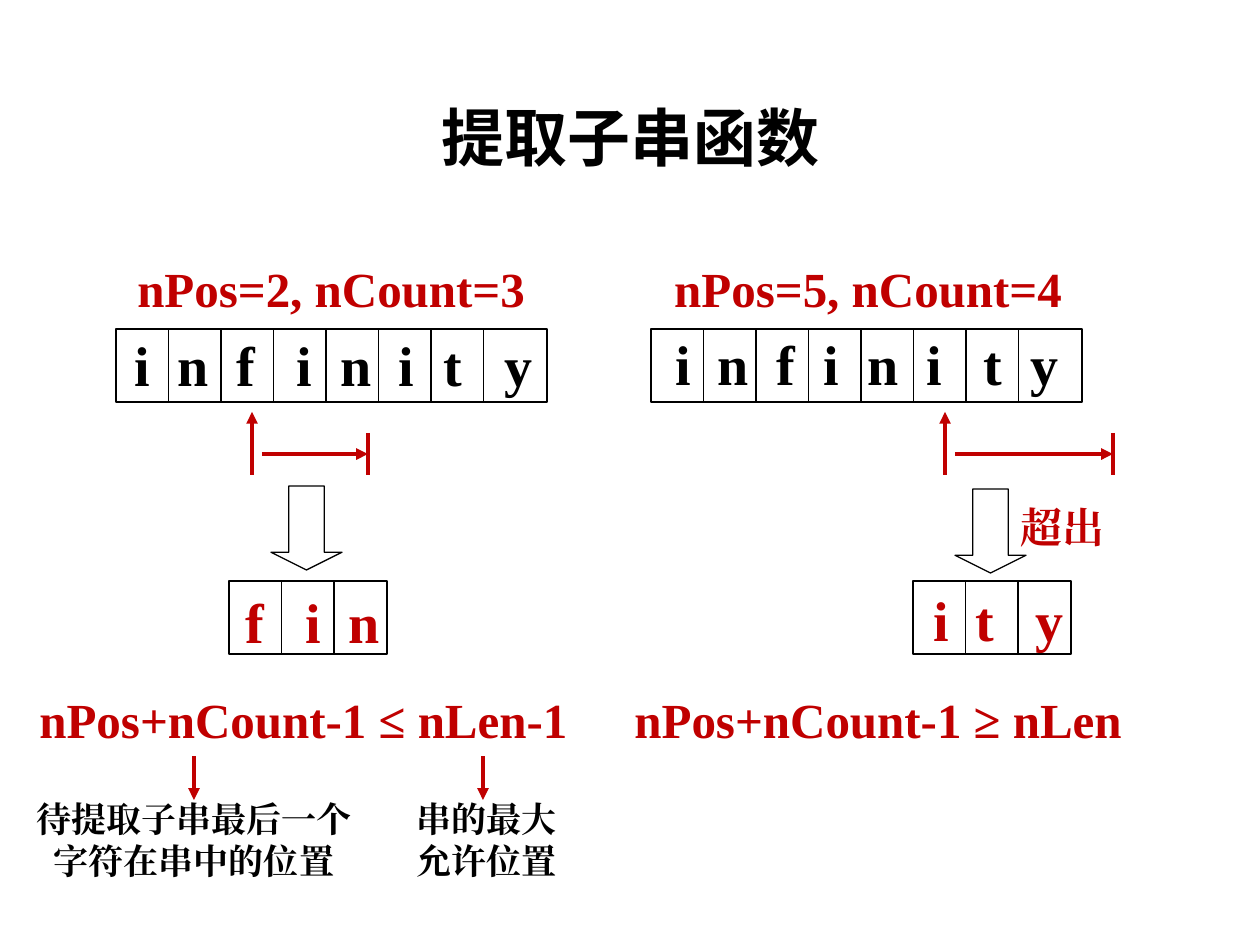
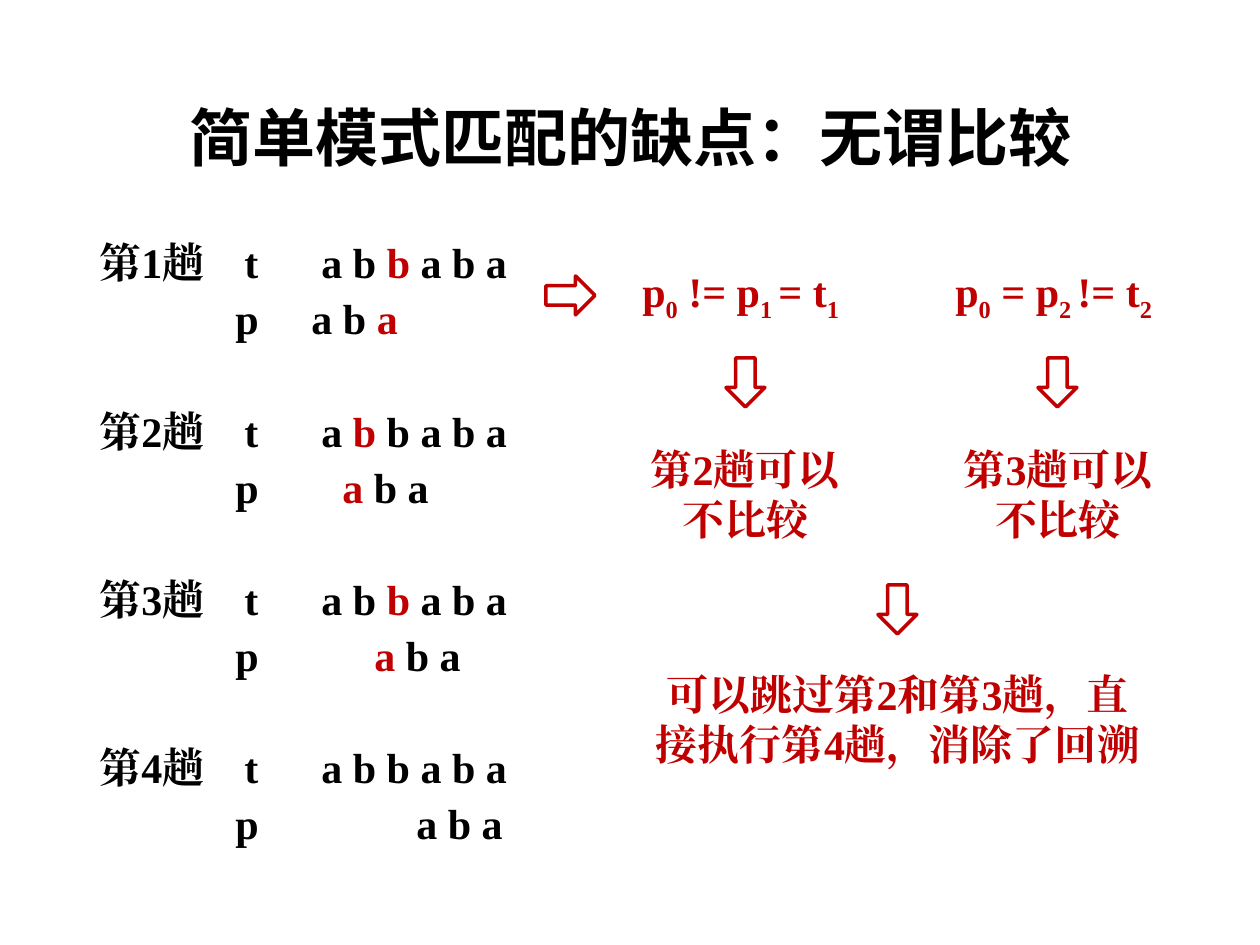
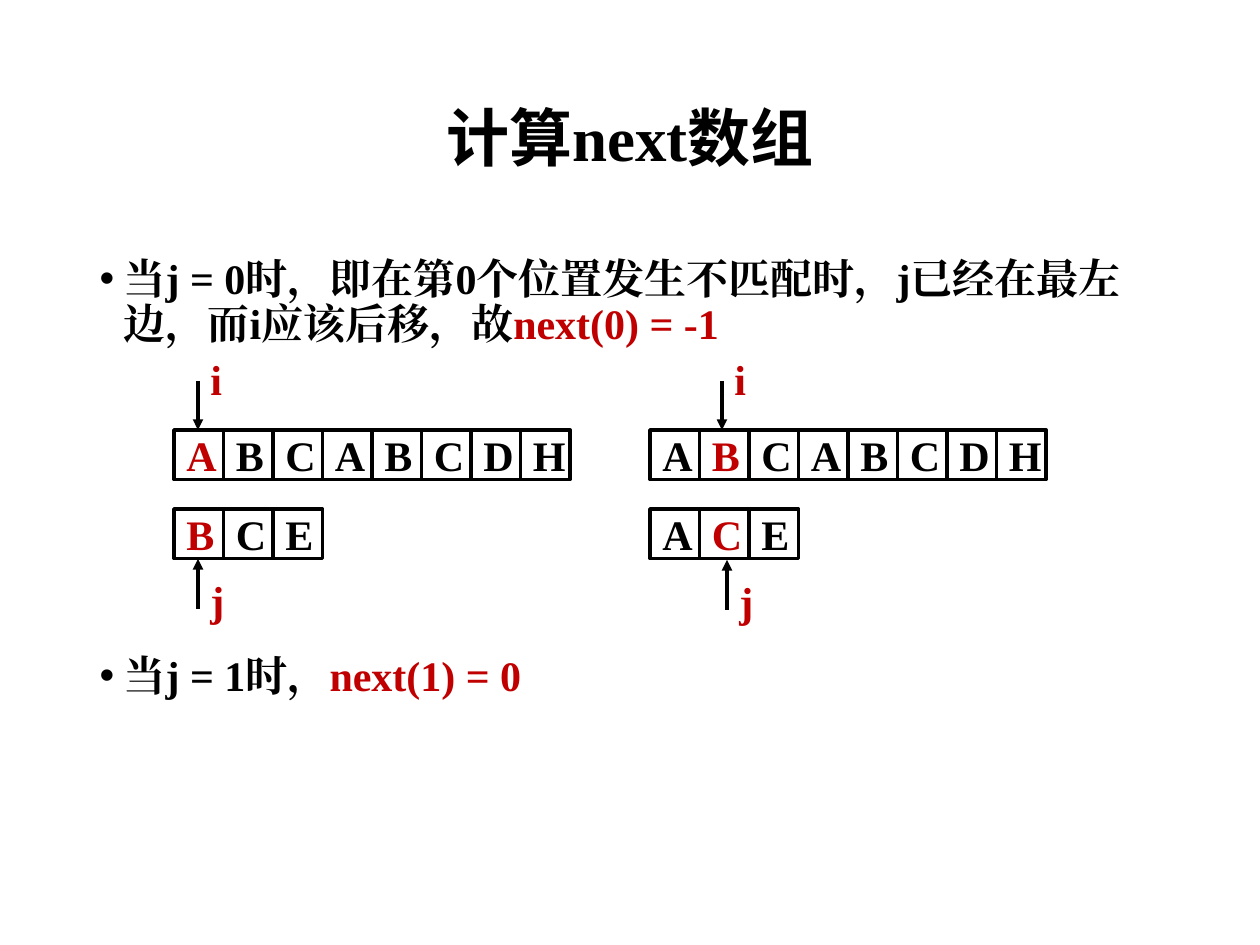
from lxml import etree
from pptx import Presentation
from pptx import util as u
from pptx.dml.color import RGBColor
from pptx.enum import shapes, text
from pptx.oxml.ns import qn

# Shared look
BLACK, RED, WHITE = "000000", "C00000", "FFFFFF"
LATIN, CHINESE = "Times New Roman", "Noto Sans CJK SC"
TITLE_BOX = (87, 50, 1086, 183)
INSET = 12.6
LEFT, CENTER = text.PP_ALIGN.LEFT, text.PP_ALIGN.CENTER
TOP, MIDDLE = text.MSO_ANCHOR.TOP, text.MSO_ANCHOR.MIDDLE
RECTANGLE = shapes.MSO_SHAPE.RECTANGLE
DOWN, RIGHT = shapes.MSO_SHAPE.DOWN_ARROW, shapes.MSO_SHAPE.RIGHT_ARROW

# Slide 1: letters, then the centre of each letter after the first
SUBSTRING_TITLE = "提取子串函数"
STRING_CELL, STRING_HEIGHT = 52.5, 73
STRINGS = [
    ("infinity", (116, 329, 431), (122, 324), BLACK, (193, 246, 305, 356, 407, 453, 519)),
    ("infinity", (651, 329, 431), (663, 323), BLACK, (733, 786, 831, 883, 935, 993, 1045)),
    ("fin", (229, 581, 158), (233, 581), RED, (314, 364)),
    ("ity", (913, 581, 158), (921, 579), RED, (985, 1050)),
]
SUBSTRING_LABELS = [
    ("nPos=2, nCount=3", (117, 252, 428, 72), 28, RED, CENTER),
    ("nPos=5, nCount=4", (654, 252, 428, 72), 28, RED, CENTER),
    ("nPos+nCount-1 ≤ nLen-1", (27, 683, 576, 72), 28, RED, LEFT),
    ("nPos+nCount-1 ≥ nLen", (600, 683, 556, 72), 28, RED, CENTER),
    ("待提取子串最后一个字符在串中的位置", (23, 791, 342, 97), 20, BLACK, CENTER),
    ("串的最大允许位置", (390, 791, 193, 97), 20, BLACK, CENTER),
]
EXCEEDS = ("超出", (1008, 495, 146, 63), 24, RED, LEFT)
POINTERS = [
    (252, 475, 252, 412), (262, 454, 368, 454),
    (945, 475, 945, 412), (955, 454, 1113, 454),
    (194, 756, 194, 800), (483, 756, 483, 800),
]
END_BARS = [368, 1113]
RESULT_ARROWS = [(271, 486, 71, 84), (955, 489, 71, 84)]

# Slide 2: *red*, _subscript_
MATCHING_TITLE = "简单模式匹配的缺点：无谓比较"
PASSES_BOX = (87, 233, 474, 694)
PASSES = [
    ("第1趟", "a b *b* a b a", "a b *a*", 212),
    ("第2趟", "a *b* b a b a", "*a* b a", 243),
    ("第3趟", "a b *b* a b a", "*a* b a", 275),
    ("第4趟", "a b b a b a", "a b a", 317),
]
FORMULAS = [
    ("p_0_ != p_1 _= t_1_", (630, 263, 250, 63)),
    ("p_0_ = p_2 _!= t_2_", (943, 263, 250, 63)),
]
CONCLUSIONS = [
    ("第2趟可以不比较", (627, 437, 236, 115), 24, RED, CENTER),
    ("第3趟可以不比较", (934, 437, 248, 115), 24, RED, CENTER),
    ("可以跳过第2和第3趟，直接执行第4趟，消除了回溯", (635, 662, 525, 165), 24, RED, CENTER),
]
THEREFORE_ARROWS = [
    (RIGHT, (546, 276, 49, 39)), (DOWN, (726, 358, 39, 49)),
    (DOWN, (1038, 358, 39, 49)), (DOWN, (878, 585, 39, 49)),
]

# Slide 3
NEXT_TITLE = "计算next数组"
NEXT_BOX = (87, 252, 1086, 600)
NEXT_RULES = [
    ("当j = 0时，即在第0个位置发生不匹配时，j已经在最左边，而i应该后移，故*next(0) = -1*", 3),
    ("当j = 1时，*next(1) = 0*", 306),
]
NEXT_CELL = 49.5
NEXT_ROWS = [  # letters, index of the red one, left, top
    ("ABCABCDH", 0, 174, 430), ("BCE", 0, 174, 509),
    ("ABCABCDH", 1, 650, 430), ("ACE", 1, 650, 509),
]
INDEXES = [  # name, x, arrow start, arrow end, label top
    ("i", 198, 381, 430, 347), ("j", 198, 609, 559, 568),
    ("i", 722, 381, 430, 347), ("j", 727, 610, 560, 569),
]


def px(length):
    return u.Emu(round(length * 914400 / 126))


def box(values):
    return [px(value) for value in values]


def color(value):
    return RGBColor.from_string(value)


def add_run(paragraph, words, size, ink, subscript=False):
    run = paragraph.add_run()
    run.text = words
    font = run.font
    font.name, font.size, font.bold = LATIN, u.Pt(size), True
    font.color.rgb = color(ink)
    properties = run._r.get_or_add_rPr()
    if subscript:
        properties.set("baseline", "-25000")
    return properties


def add_marked(paragraph, words, size=24):
    """Write black text in which *words* between stars are red."""
    for index, part in enumerate(words.split("*")):
        if part:
            add_run(paragraph, part, size, RED if index % 2 else BLACK)


def use_chinese_font(paragraph, name):
    for run in paragraph.runs:
        etree.SubElement(run._r.get_or_add_rPr(), qn("a:ea"), typeface=name)


def set_tabs(paragraph, stops, align="l"):
    tabs = etree.SubElement(paragraph._p.get_or_add_pPr(), qn("a:tabLst"))
    for stop in stops:
        etree.SubElement(tabs, qn("a:tab"), pos=str(px(stop)), algn=align)


def add_text_box(slide, place, anchor=TOP):
    shape = slide.shapes.add_textbox(*box(place))
    frame = shape.text_frame
    frame.word_wrap, frame.vertical_anchor = True, anchor
    return shape


def add_label(slide, words, place, size, ink, align):
    shape = add_text_box(slide, place)
    paragraph = shape.text_frame.paragraphs[0]
    paragraph.alignment, paragraph.space_before = align, u.Pt(size * 0.1)
    add_run(paragraph, words, size, ink)
    use_chinese_font(paragraph, LATIN)
    return shape


def add_outline(slide, kind, place, ink, width):
    shape = slide.shapes.add_shape(kind, *box(place))
    shape.shadow.inherit = False
    shape.fill.background()
    shape.line.color.rgb, shape.line.width = color(ink), u.Pt(width)
    return shape


def add_line(slide, ends, ink, width, arrow=False):
    line = slide.shapes.add_connector(shapes.MSO_CONNECTOR.STRAIGHT, *box(ends))
    line.line.color.rgb, line.line.width = color(ink), u.Pt(width)
    properties = line._element.spPr
    if arrow:
        etree.SubElement(properties.find(qn("a:ln")), qn("a:tailEnd"), type="triangle")
    etree.SubElement(properties, qn("a:effectLst"))


def place_shape(shape, place):
    shape.left, shape.top, shape.width, shape.height = box(place)


def add_slide(presentation, layout, title):
    slide = presentation.slides.add_slide(presentation.slide_layouts[layout])
    shape = slide.shapes.title
    place_shape(shape, TITLE_BOX)
    shape.text_frame.vertical_anchor = MIDDLE
    paragraph = shape.text_frame.paragraphs[0]
    paragraph.alignment, paragraph.line_spacing = CENTER, 0.9
    add_run(paragraph, title, 36, BLACK)
    use_chinese_font(paragraph, CHINESE)
    return slide


def add_string(slide, letters, frame, origin, ink, centers):
    left, top, width = frame
    add_outline(slide, RECTANGLE, (left, top, width, STRING_HEIGHT), BLACK, 0.75)
    for index in range(1, len(letters)):
        x = left + index * STRING_CELL
        add_line(slide, (x, top, x, top + STRING_HEIGHT), BLACK, 0.75)
    shape = add_label(slide, "\t".join(letters), (*origin, width + 30, 80), 32, ink, LEFT)
    start = origin[0] + INSET
    set_tabs(shape.text_frame.paragraphs[0], [center - start for center in centers], "ctr")


def build_substring(presentation):
    slide = add_slide(presentation, 5, SUBSTRING_TITLE)
    for string in STRINGS:
        add_string(slide, *string)
    for label in SUBSTRING_LABELS:
        add_label(slide, *label)
    for ends in POINTERS:
        add_line(slide, ends, RED, 2.25, arrow=True)
    for x in END_BARS:
        add_line(slide, (x, 433, x, 475), RED, 2.25)
    note = add_label(slide, *EXCEEDS)
    note.fill.solid()
    note.fill.fore_color.rgb = color(WHITE)
    for place in RESULT_ARROWS:
        arrow = add_outline(slide, DOWN, place, BLACK, 0.75)
        arrow.adjustments[1] = 0.25


def build_matching(presentation):
    slide = add_slide(presentation, 5, MATCHING_TITLE)
    frame = add_text_box(slide, PASSES_BOX).text_frame
    paragraph = frame.paragraphs[0]
    for index, (name, target, pattern, indent) in enumerate(PASSES):
        rows = [(f"{name}\tt\t{target}", (145, 222), 64.5 if index else 0),
                (f"\tp\t{pattern}", (136, indent), 8)]
        for words, stops, gap in rows:
            if paragraph.runs:
                paragraph = frame.add_paragraph()
            paragraph.line_spacing, paragraph.space_before = px(48), px(gap)
            add_marked(paragraph, words)
            use_chinese_font(paragraph, LATIN)
            set_tabs(paragraph, stops)
    for formula, place in FORMULAS:
        paragraph = add_text_box(slide, place, MIDDLE).text_frame.paragraphs[0]
        for index, part in enumerate(formula.split("_")):
            if part:
                add_run(paragraph, part, 24, RED, subscript=index % 2 == 1)
    for conclusion in CONCLUSIONS:
        add_label(slide, *conclusion)
    for kind, place in THEREFORE_ARROWS:
        add_outline(slide, kind, place, RED, 2)


def build_next(presentation):
    slide = add_slide(presentation, 1, NEXT_TITLE)
    body = slide.placeholders[1]
    place_shape(body, NEXT_BOX)
    frame = body.text_frame
    frame.auto_size = text.MSO_AUTO_SIZE.NONE
    for index, (words, gap) in enumerate(NEXT_RULES):
        paragraph = frame.add_paragraph() if index else frame.paragraphs[0]
        paragraph.line_spacing, paragraph.space_before = 0.9, px(gap)
        properties = paragraph._p.get_or_add_pPr()
        properties.set("marL", str(px(24)))
        properties.set("indent", str(px(-24)))
        etree.SubElement(properties, qn("a:buChar"), char="•")
        add_marked(paragraph, words)
        use_chinese_font(paragraph, LATIN)

    # Rows of cells with the mismatch in red
    for letters, mismatch, left, top in NEXT_ROWS:
        for index, letter in enumerate(letters):
            place = (left + index * NEXT_CELL, top, NEXT_CELL, NEXT_CELL)
            cell = add_outline(slide, RECTANGLE, place, BLACK, 2)
            paragraph = cell.text_frame.paragraphs[0]
            paragraph.alignment = CENTER
            add_run(paragraph, letter, 24, RED if index == mismatch else BLACK)
    for name, x, start, end, top in INDEXES:
        add_line(slide, (x, start, x, end), BLACK, 2, arrow=True)
        add_label(slide, name, (x, top, 60, 63), 24, RED, LEFT)


def main():
    presentation = Presentation()
    presentation.slide_width, presentation.slide_height = u.Inches(10), u.Inches(7.5)
    build_substring(presentation)
    build_matching(presentation)
    build_next(presentation)
    presentation.save("out.pptx")


if __name__ == "__main__":
    main()
